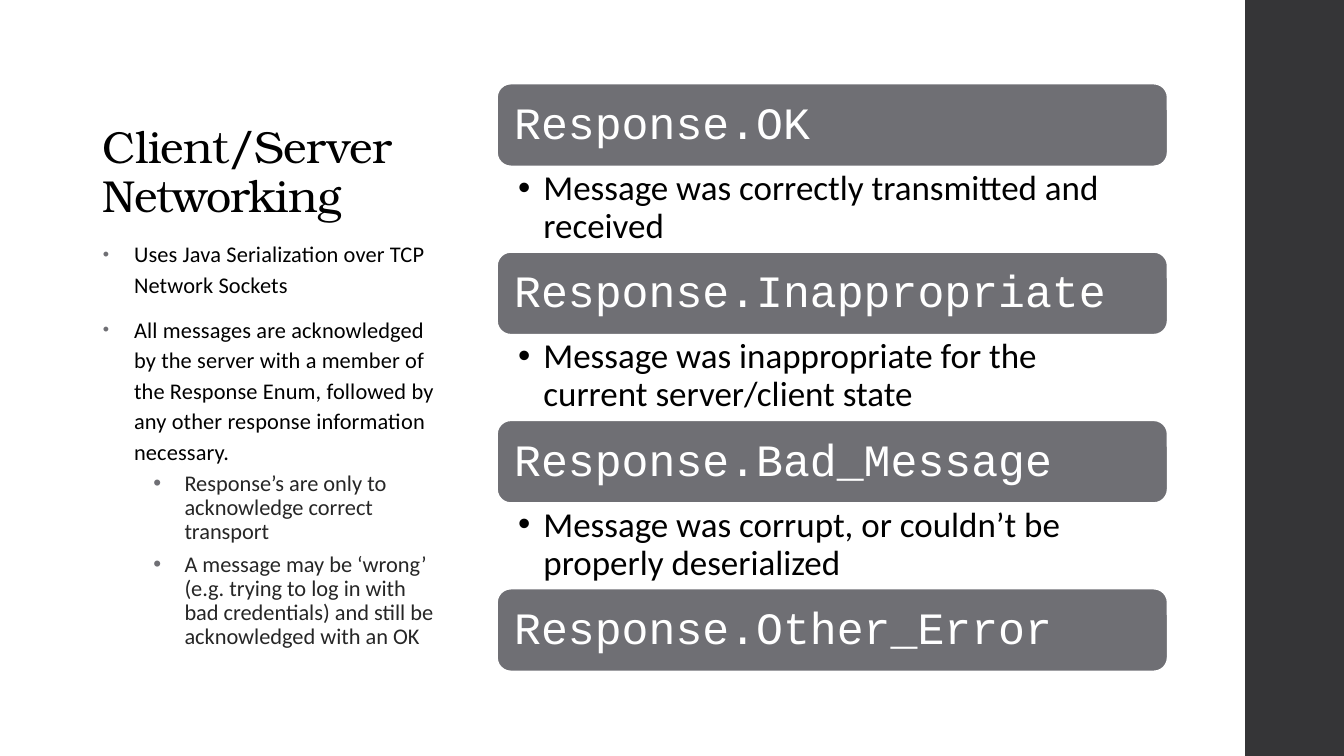
from dataclasses import dataclass
from typing import Any, NamedTuple, Optional

from lxml.etree import SubElement
from pptx import Presentation
from pptx.dml.color import RGBColor
from pptx.enum.shapes import MSO_SHAPE
from pptx.enum.text import MSO_ANCHOR, MSO_AUTO_SIZE, PP_ALIGN
from pptx.oxml.ns import qn
from pptx.util import Inches, Pt


@dataclass(frozen=True)
class Theme:
    black: str = "000000"
    white: str = "FFFFFF"
    gray: str = "6F6F74"
    dark: str = "353537"
    soft: str = "262626"
    serif: str = "TeX Gyre Bonum"
    sans: str = "Calibri"
    mono: str = "Courier New"
    head: float = 32
    note: float = 25
    body: float = 16


class Box(NamedTuple):
    left: float
    top: float
    width: float
    height: float


class Bullet(NamedTuple):
    color: str
    scale: int
    left: float
    hang: float


class Style(NamedTuple):
    font: str
    size: float
    color: str
    line: float = 0.9
    before: float = 0
    after: float = 0
    level: int = 0
    track: int = 0
    bullet: Optional[Bullet] = None


class Reply(NamedTuple):
    name: str
    note: str = ""


class Point(NamedTuple):
    text: str
    style: Style


THEME = Theme()
TITLE = Style(THEME.serif, THEME.head, THEME.black, track=-50)
LABEL = Style(THEME.mono, THEME.head, THEME.white)
NOTE = Style(THEME.sans, THEME.note, THEME.black,
             bullet=Bullet(THEME.black, 100, 0.25, 0.25))
MAIN = Style(THEME.sans, THEME.body, THEME.black, 1.14, 8, 2, track=10,
             bullet=Bullet(THEME.gray, 80, 0.31, 0.31))
SUB = Style(THEME.sans, THEME.body, THEME.soft, 0.9, 3, 3, level=1,
            bullet=Bullet(THEME.gray, 100, 0.81, 0.31))

POINTS = [
    Point("Uses Java Serialization over TCP Network Sockets", MAIN),
    Point("All messages are acknowledged by the server with a member of the "
          "Response Enum, followed by any other response information necessary.", MAIN),
    Point("Response’s are only to acknowledge correct transport", SUB),
    Point("A message may be ‘wrong’ (e.g. trying to log in with bad "
          "credentials) and still be acknowledged with an OK", SUB),
]
REPLIES = [
    Reply("Response.OK", "Message was correctly transmitted and received"),
    Reply("Response.Inappropriate",
          "Message was inappropriate for the current server/client state"),
    Reply("Response.Bad_Message",
          "Message was corrupt, or couldn’t be properly deserialized"),
    Reply("Response.Other_Error"),
]
STACK = Box(4.93, 0.83, 6.65, 0.82)
NOTE_HEIGHT = 0.85


def format_all(item: Any, values: dict[str, Any]) -> None:
    for name, value in values.items():
        setattr(item, name, value)


def place(shape: Any, box: Box) -> None:
    format_all(shape, {name: Inches(size) for name, size in box._asdict().items()})


def set_frame(frame: Any, anchor: MSO_ANCHOR, left: float = 0.1, top: float = 0.05,
              right: float = 0.1, base: float = 0.05) -> None:
    format_all(frame, {
        "word_wrap": True,
        "auto_size": MSO_AUTO_SIZE.NONE,
        "vertical_anchor": anchor,
        "margin_left": Inches(left),
        "margin_top": Inches(top),
        "margin_right": Inches(right),
        "margin_bottom": Inches(base),
    })


def add_bullet(para: Any, bullet: Bullet) -> None:
    props = para._p.get_or_add_pPr()
    props.set("marL", str(Inches(bullet.left)))
    props.set("indent", str(-Inches(bullet.hang)))
    color = SubElement(props, qn("a:buClr"))
    SubElement(color, qn("a:srgbClr"), val=bullet.color)
    SubElement(props, qn("a:buSzPct"), val=str(bullet.scale * 1000))
    SubElement(props, qn("a:buFont"), typeface="Arial")
    SubElement(props, qn("a:buChar"), char="•")


def write(para: Any, text: str, style: Style) -> None:
    format_all(para, {
        "alignment": PP_ALIGN.LEFT,
        "level": style.level,
        "line_spacing": style.line,
        "space_before": Pt(style.before),
        "space_after": Pt(style.after),
    })
    if style.bullet:
        add_bullet(para, style.bullet)
    run = para.add_run()
    run.text = text
    format_all(run.font, {"name": style.font, "size": Pt(style.size)})
    run.font.color.rgb = RGBColor.from_string(style.color)
    run._r.get_or_add_rPr().set("spc", str(style.track))


def add_block(slide: Any, kind: MSO_SHAPE, box: Box, fill: str) -> Any:
    block = slide.shapes.add_shape(kind, *map(Inches, box))
    block.shadow.inherit = False
    block.fill.solid()
    block.fill.fore_color.rgb = RGBColor.from_string(fill)
    block.line.fill.background()
    return block


def add_reply(slide: Any, reply: Reply, box: Box) -> None:
    bar = add_block(slide, MSO_SHAPE.ROUNDED_RECTANGLE, box, THEME.gray)
    bar.line.color.rgb = RGBColor.from_string(THEME.white)
    bar.line.width = Pt(1.1)
    set_frame(bar.text_frame, MSO_ANCHOR.MIDDLE, 0.13, 0.13, 0.13, 0.13)
    write(bar.text_frame.paragraphs[0], reply.name, LABEL)
    if reply.note:
        area = box._replace(top=box.top + box.height, height=NOTE_HEIGHT)
        note = slide.shapes.add_textbox(*map(Inches, area))
        set_frame(note.text_frame, MSO_ANCHOR.TOP, 0.21, 0.04, 0.25, 0.04)
        write(note.text_frame.paragraphs[0], reply.note, NOTE)


def fill_holder(holder: Any, box: Box, anchor: MSO_ANCHOR, points: list[Point]) -> None:
    place(holder, box)
    frame = holder.text_frame
    set_frame(frame, anchor)
    for index, point in enumerate(points):
        para = frame.add_paragraph() if index else frame.paragraphs[0]
        write(para, point.text, point.style)


def main() -> None:
    deck = Presentation()
    format_all(deck, {"slide_width": Inches(13.33), "slide_height": Inches(7.5)})
    slide = deck.slides.add_slide(deck.slide_layouts[1])
    add_block(slide, MSO_SHAPE.RECTANGLE, Box(12.35, 0, 0.98, 7.5), THEME.dark)
    fill_holder(slide.shapes.title, Box(0.92, 0.5, 3.5, 1.75), MSO_ANCHOR.BOTTOM,
                [Point("Client/Server Networking", TITLE)])
    fill_holder(slide.placeholders[1], Box(0.92, 2.3, 3.5, 4.17), MSO_ANCHOR.TOP, POINTS)
    for index, reply in enumerate(REPLIES):
        top = STACK.top + index * (STACK.height + NOTE_HEIGHT)
        add_reply(slide, reply, STACK._replace(top=top))
    deck.save("out.pptx")


main()
